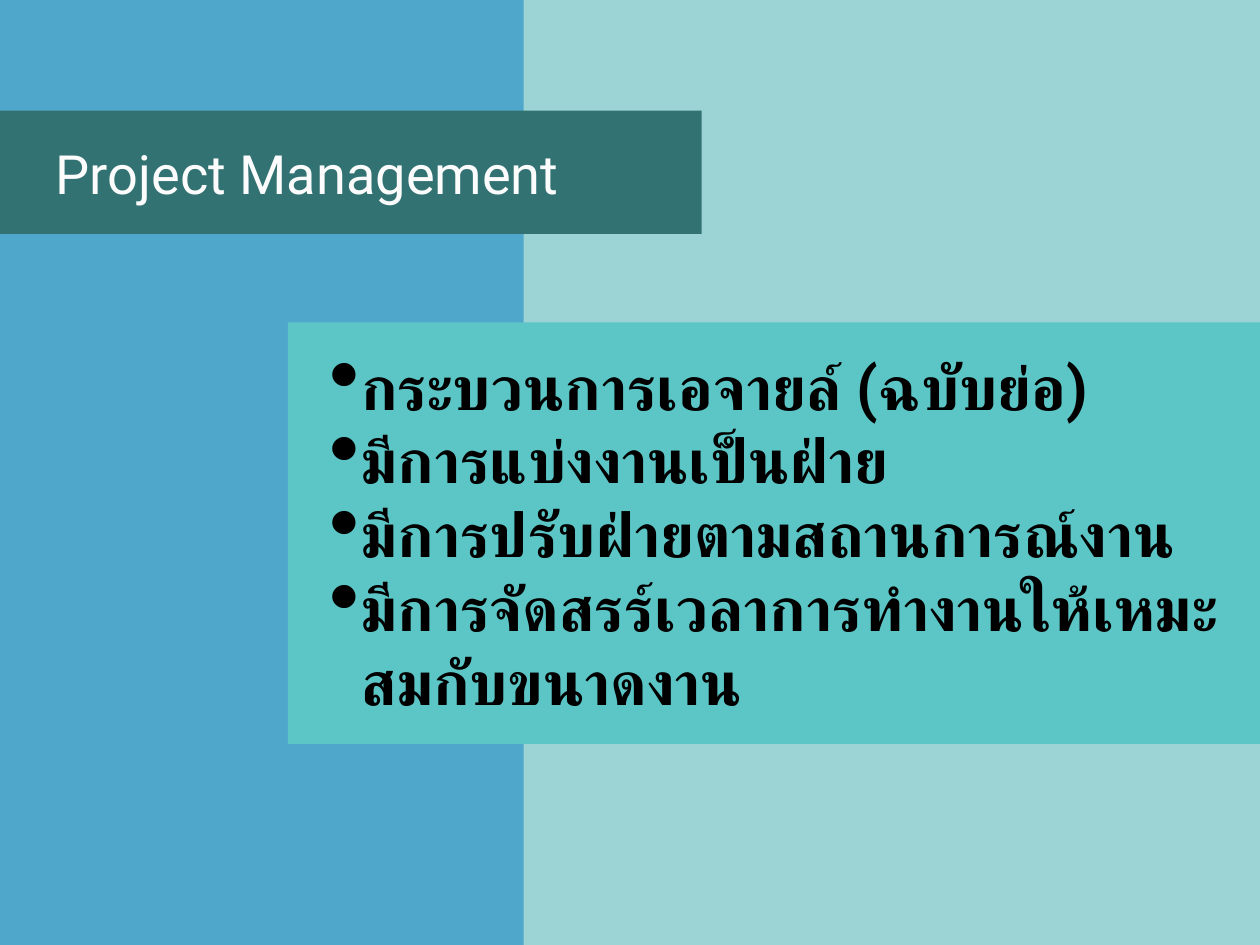
import pptx
import pptx.util
import pptx.dml.color
import pptx.enum.shapes
import pptx.enum.text
import pptx.oxml.ns
import lxml.etree

Inches = pptx.util.Inches
RGBColor = pptx.dml.color.RGBColor
qn = pptx.oxml.ns.qn

PALE = RGBColor(0x9C, 0xD4, 0xD5)
BLUE = RGBColor(0x4F, 0xA8, 0xCC)
DARK = RGBColor(0x33, 0x72, 0x73)
TEAL = RGBColor(0x5C, 0xC6, 0xC7)
WHITE = RGBColor(0xFC, 0xFC, 0xFC)
BLACK = RGBColor(0, 0, 0)
FACE = "Roboto"


def set_frame(frame):
    form = {"word_wrap": True,
            "auto_size": pptx.enum.text.MSO_AUTO_SIZE.NONE,
            "vertical_anchor": pptx.enum.text.MSO_ANCHOR.MIDDLE}
    for side in ("left", "top", "right", "bottom"):
        form["margin_" + side] = Inches(0.06)
    for key, value in form.items():
        setattr(frame, key, value)


def add_text(para, text, size, color, bold):
    run = para.add_run()
    run.text = text
    form = {"name": FACE, "size": pptx.util.Pt(size), "bold": bold}
    for key, value in form.items():
        setattr(run.font, key, value)
    run.font.color.rgb = color
    # Thai letters use the complex script font
    props = run.font._element
    lxml.etree.SubElement(props, qn("a:cs"), typeface=FACE)


deck = pptx.Presentation()
deck.slide_width = Inches(14.22)
deck.slide_height = Inches(10.67)
slide = deck.slides.add_slide(deck.slide_layouts[5])

# Colour panels, back to front
panels = [
    (0, -0.05, 14.23, 10.76, PALE),
    (-0.02, -0.03, 5.93, 10.72, BLUE),
    (-0.06, 1.25, 7.98, 1.39, DARK),
    (3.25, 3.64, 11.04, 4.76, TEAL),
]
for left, top, width, height, color in panels:
    panel = slide.shapes.add_shape(
        pptx.enum.shapes.MSO_SHAPE.RECTANGLE,
        Inches(left), Inches(top), Inches(width), Inches(height))
    panel.shadow.inherit = False
    panel.fill.solid()
    panel.fill.fore_color.rgb = color
    panel.line.fill.background()

# Title, brought in front of the panels
title = slide.shapes.title
place = {"left": 0.57, "top": 1.47, "width": 6.72, "height": 0.96}
for key, value in place.items():
    setattr(title, key, Inches(value))
set_frame(title.text_frame)
head = title.text_frame.paragraphs[0]
head.alignment = pptx.enum.text.PP_ALIGN.LEFT
add_text(head, "Project Management", 44, WHITE, False)
title._element.getparent().append(title._element)

# Bullet list
points = [
    "กระบวนการเอจายล์ (ฉบับย่อ)",
    "มีการแบ่งงานเป็นฝ่าย",
    "มีการปรับฝ่ายตามสถานการณ์งาน",
    "มีการจัดสรร์เวลาการทำงานให้เหมะสมกับขนาดงาน",
]
body = slide.shapes.add_textbox(
    Inches(3.66), Inches(4.14), Inches(10.21), Inches(3.76))
set_frame(body.text_frame)
for index, point in enumerate(points):
    para = body.text_frame.paragraphs[0] if index == 0 else body.text_frame.add_paragraph()
    props = para._p.get_or_add_pPr()
    props.set("marL", str(Inches(0.36)))
    props.set("indent", str(-Inches(0.36)))
    lxml.etree.SubElement(props, qn("a:buSzPct"), val="145000")
    lxml.etree.SubElement(props, qn("a:buChar"), char="•")
    add_text(para, point, 50, BLACK, True)

deck.save("out.pptx")
